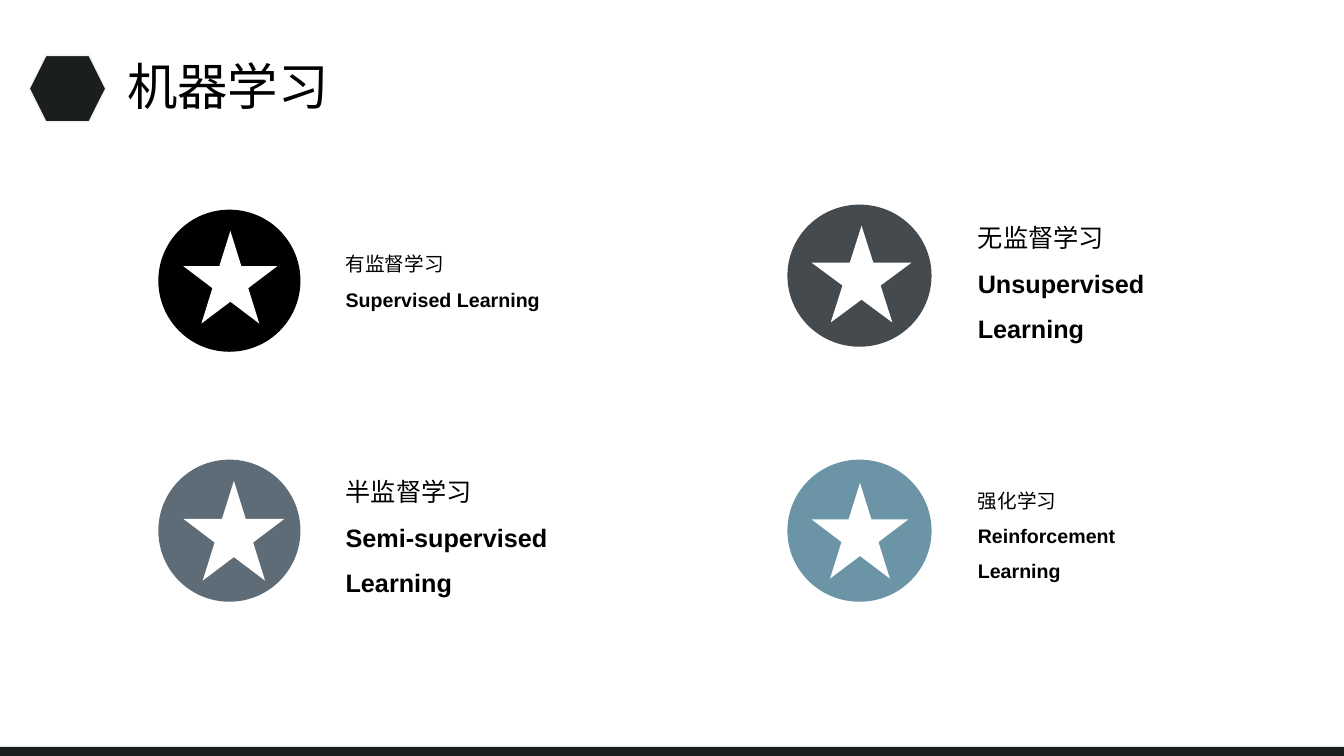
from dataclasses import dataclass

from pptx import Presentation
from pptx.dml.color import RGBColor
from pptx.enum.shapes import MSO_SHAPE
from pptx.enum.text import MSO_ANCHOR, MSO_AUTO_SIZE, PP_ALIGN
from pptx.util import Inches, Pt


@dataclass(frozen=True)
class Theme:
    font: str = "Arial"
    text: str = "000000"
    dark: str = "1B1E1F"
    star: str = "FFFFFF"
    outline: str = "F2F2F2"
    supervised: str = "000000"
    unsupervised: str = "444A4D"
    semi_supervised: str = "5D6C77"
    reinforcement: str = "6B94A7"
    title_size: int = 36
    large_size: int = 18
    small_size: int = 14


class SlideBuilder:
    def __init__(self, page, theme):
        self.page = page
        self.theme = theme

    def style_paragraph(self, para, size, spacing, bold=False):
        para.alignment = PP_ALIGN.LEFT
        para.line_spacing = spacing
        para.font.name = self.theme.font
        para.font.size = Pt(size)
        para.font.bold = bold
        para.font.color.rgb = RGBColor.from_string(self.theme.text)

    def title(self, text, left, top, width, height):
        title = self.page.shapes.title
        title.left, title.top = Inches(left), Inches(top)
        title.width, title.height = Inches(width), Inches(height)
        frame = title.text_frame
        frame.text = text
        frame.auto_size = MSO_AUTO_SIZE.NONE
        frame.vertical_anchor = MSO_ANCHOR.MIDDLE
        self.style_paragraph(frame.paragraphs[0], self.theme.title_size, 0.9)

    def shape(self, kind, left, top, width, height, fill, outline=None):
        shape = self.page.shapes.add_shape(
            kind, Inches(left), Inches(top), Inches(width), Inches(height))
        shape.shadow.inherit = False
        shape.fill.solid()
        shape.fill.fore_color.rgb = RGBColor.from_string(fill)
        if outline:
            shape.line.color.rgb = RGBColor.from_string(outline)
            shape.line.width = Pt(1)
        else:
            shape.line.fill.background()

    def label(self, chinese, english, size, left, top):
        box = self.page.shapes.add_textbox(
            Inches(left), Inches(top), Inches(2.3), Inches(1.85))
        frame = box.text_frame
        frame.word_wrap = True
        frame.vertical_anchor = MSO_ANCHOR.MIDDLE
        frame.text = f"{chinese}\n{english}"
        for para, bold in zip(frame.paragraphs, (False, True)):
            self.style_paragraph(para, size, 1.5, bold)

    def badge(self, left, top, width, color, star_offset, star_size):
        """Draw a filled circle with a star inside it."""
        self.shape(MSO_SHAPE.OVAL, left, top, width, 1.41, color)
        offset_x, offset_y = star_offset
        self.shape(MSO_SHAPE.STAR_5_POINT, left + offset_x, top + offset_y,
                   *star_size, self.theme.star)


def main():
    theme = Theme()
    deck = Presentation()
    deck.slide_width, deck.slide_height = Inches(13.33), Inches(7.5)
    title_only = deck.slide_layouts[5]
    builder = SlideBuilder(deck.slides.add_slide(title_only), theme)

    builder.shape(MSO_SHAPE.RECTANGLE, 0, 7.41, 13.33, 0.09, theme.dark)
    builder.title("机器学习", 1.16, 0.6, 4.52, 0.56)
    builder.shape(MSO_SHAPE.HEXAGON, 0.29, 0.55, 0.76, 0.66,
                  theme.dark, theme.outline)

    # Per column: badge left, badge width, label left
    columns = ((1.57, 1.41, 3.33), (7.81, 1.43, 9.6))
    label_tops = (1.81, 4.33)
    # Row by row: texts, text size, badge top, colour, star offset and size
    methods = (
        ("有监督学习", "Supervised Learning", theme.small_size,
         2.08, theme.supervised, (0.25, 0.21), (0.93, 0.92)),
        ("无监督学习", "Unsupervised Learning", theme.large_size,
         2.03, theme.unsupervised, (0.24, 0.21), (0.99, 0.96)),
        ("半监督学习", "Semi-supervised Learning", theme.large_size,
         4.56, theme.semi_supervised, (0.25, 0.21), (1.0, 0.99)),
        ("强化学习", "Reinforcement Learning", theme.small_size,
         4.56, theme.reinforcement, (0.24, 0.23), (0.96, 0.95)),
    )
    for index, method in enumerate(methods):
        chinese, english, size, top, color, star_offset, star_size = method
        row, column = divmod(index, len(columns))
        badge_left, badge_width, label_left = columns[column]
        builder.badge(badge_left, top, badge_width, color,
                      star_offset, star_size)
        builder.label(chinese, english, size, label_left, label_tops[row])

    deck.save("out.pptx")


if __name__ == "__main__":
    main()
